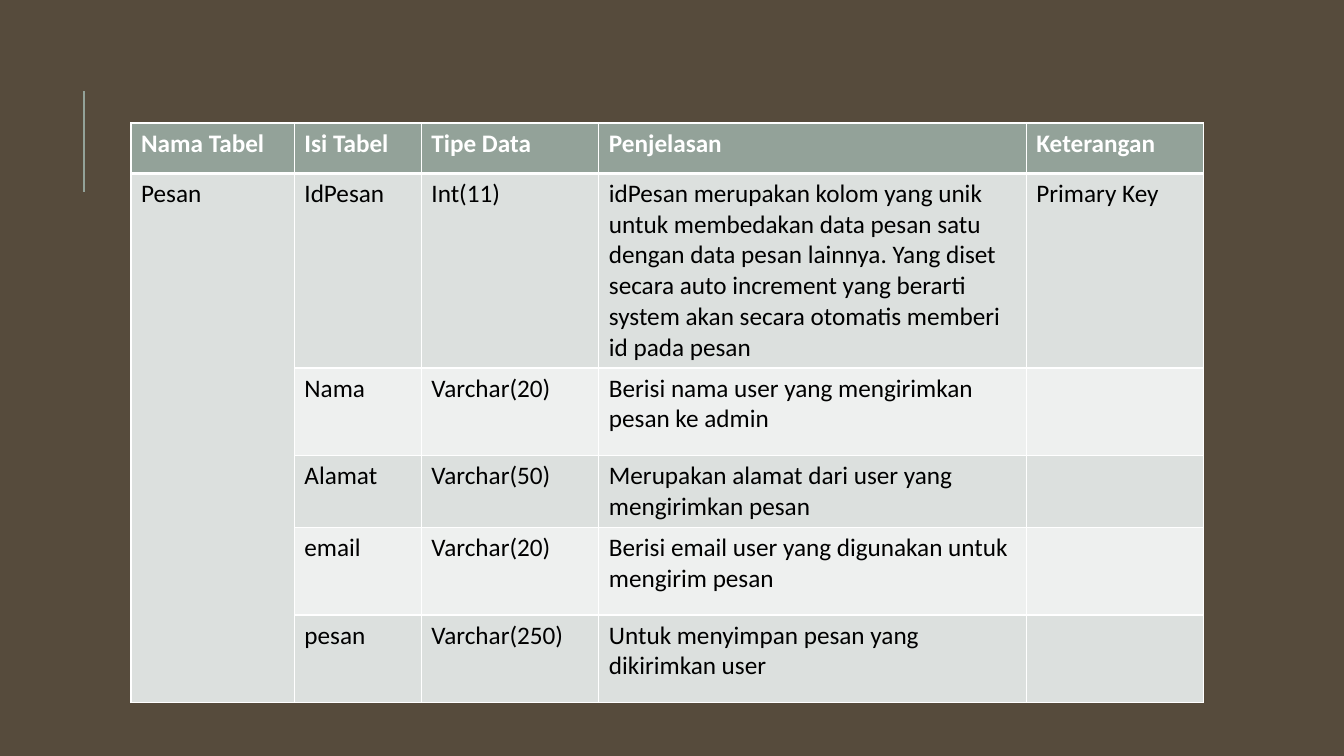
import pptx
import pptx.util
import pptx.dml.color
import pptx.enum.shapes
import pptx.oxml
import pptx.oxml.ns
from pptx.util import Inches

COLORS = {
    "background": "564B3C",
    "accent": "93A299",
    "dark_band": "DCE0DE",
    "light_band": "EEF0EF",
    "white": "FFFFFF",
    "black": "000000",
}
COLUMN_WIDTHS = [1.62, 1.26, 1.76, 4.24, 1.76]
ROW_HEIGHTS = [0.5, 1.93, 0.87, 0.7, 0.87, 0.87]
ROWS = [
    ["Nama Tabel", "Isi Tabel", "Tipe Data", "Penjelasan", "Keterangan"],
    ["Pesan", "IdPesan", "Int(11)",
     "idPesan merupakan kolom yang unik untuk membedakan data pesan satu "
     "dengan data pesan lainnya. Yang diset secara auto increment yang berarti "
     "system akan secara otomatis memberi id pada pesan", "Primary Key"],
    ["", "Nama", "Varchar(20)", "Berisi nama user yang mengirimkan pesan ke admin", ""],
    ["", "Alamat", "Varchar(50)", "Merupakan alamat dari user yang mengirimkan pesan", ""],
    ["", "email", "Varchar(20)", "Berisi email user yang digunakan untuk mengirim pesan", ""],
    ["", "pesan", "Varchar(250)", "Untuk menyimpan pesan yang dikirimkan user", ""],
]


def color(name):
    return pptx.dml.color.RGBColor.from_string(COLORS[name])


class SlideBuilder:
    """Holds the text style and the slide being filled."""

    def __init__(self, slide, font="Calibri", size=18):
        self.slide, self.font, self.size = slide, font, size

    def background(self, name):
        fill = self.slide.background.fill
        fill.solid()
        fill.fore_color.rgb = color(name)

    def line(self, x1, y1, x2, y2, name, width):
        line = self.slide.shapes.add_connector(
            pptx.enum.shapes.MSO_CONNECTOR.STRAIGHT,
            Inches(x1), Inches(y1), Inches(x2), Inches(y2))
        line.line.color.rgb = color(name)
        line.line.width = pptx.util.Pt(width)
        line._element.spPr.append(pptx.oxml.parse_xml(
            f'<a:effectLst {pptx.oxml.ns.nsdecls("a")}/>'))

    def borders(self, cell, widths):
        """Draws white borders; widths maps each side (L, R, T, B) to points."""
        properties = cell._tc.get_or_add_tcPr()
        for side, width in widths.items():
            properties.append(pptx.oxml.parse_xml(
                f'<a:ln{side} {pptx.oxml.ns.nsdecls("a")} w="{pptx.util.Pt(width)}">'
                f'<a:solidFill><a:srgbClr val="{COLORS["white"]}"/></a:solidFill>'
                f'</a:ln{side}>'))

    def cell(self, cell, text, fill, text_color, bold):
        cell.fill.solid()
        cell.fill.fore_color.rgb = color(fill)
        para = cell.text_frame.paragraphs[0]
        para.font.size = pptx.util.Pt(self.size)
        if text:
            span = para.add_run()
            span.text = text
            span.font.name = self.font
            span.font.size = pptx.util.Pt(self.size)
            span.font.bold = bold
            span.font.color.rgb = color(text_color)

    def table(self, left, top, rows, widths, heights):
        table = self.slide.shapes.add_table(
            len(rows), len(widths), Inches(left), Inches(top),
            Inches(sum(widths)), Inches(sum(heights))).table
        for column, width in zip(table.columns, widths):
            column.width = Inches(width)
        for row, height in zip(table.rows, heights):
            row.height = Inches(height)
        for r, texts in enumerate(rows):
            header = r == 0
            for c, text in enumerate(texts):
                band = "dark_band" if r % 2 or c == 0 else "light_band"
                cell = table.cell(r, c)
                self.borders(cell, {"L": 1, "R": 1, "T": 3 if r == 1 else 1,
                                    "B": 3 if header else 1})
                self.cell(cell, text, "accent" if header else band,
                          "white" if header else "black", header)
        table.cell(1, 0).merge(table.cell(len(rows) - 1, 0))


def main():
    deck = pptx.Presentation()
    deck.slide_width, deck.slide_height = Inches(13.33), Inches(7.5)
    page = SlideBuilder(deck.slides.add_slide(deck.slide_layouts[6]))
    page.background("background")
    page.line(0.83, 1.9, 0.83, 0.9, "accent", 1.5)
    page.table(1.3, 1.22, ROWS, COLUMN_WIDTHS, ROW_HEIGHTS)
    deck.save("out.pptx")


if __name__ == "__main__":
    main()
